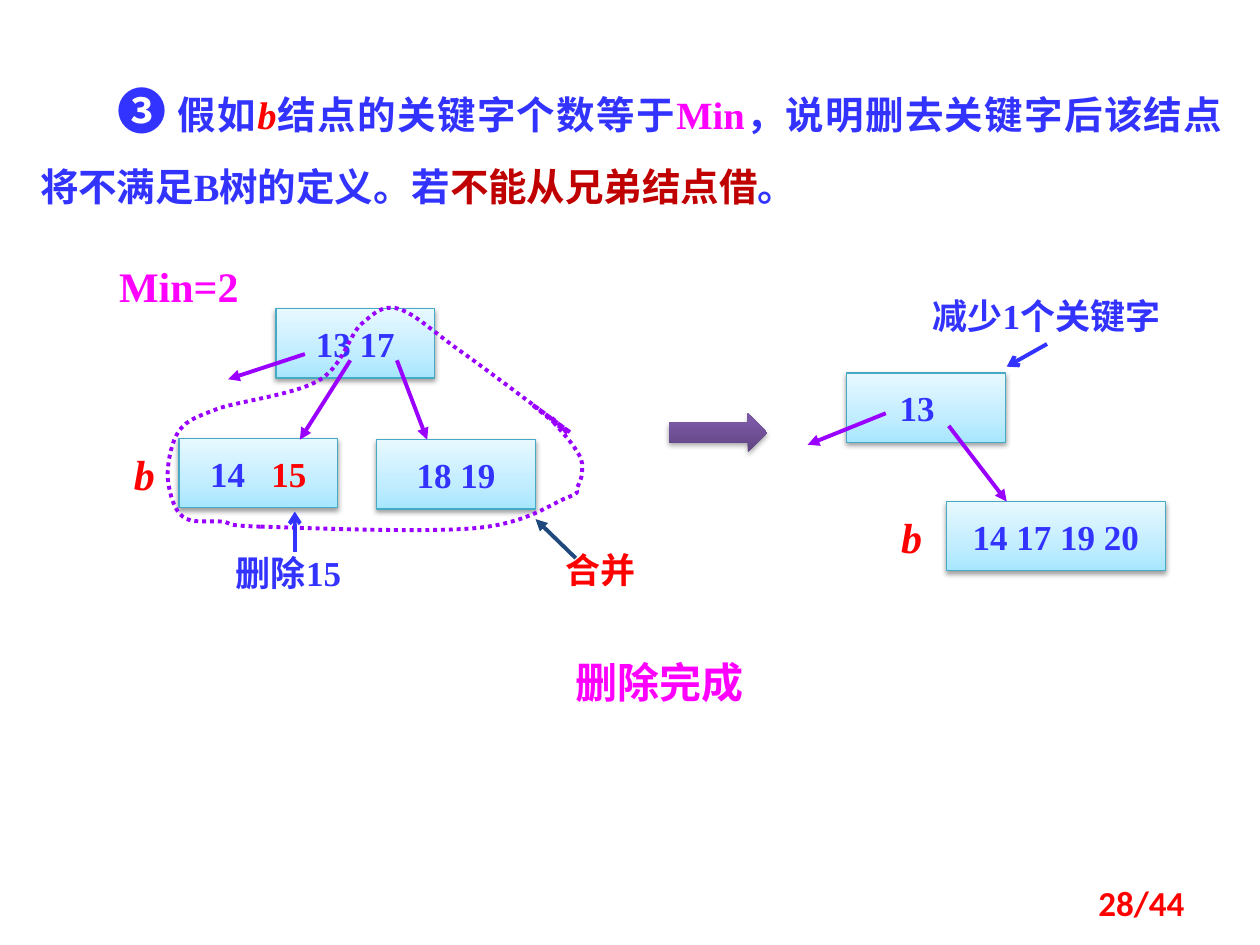
from copy import deepcopy

from lxml import etree
from pptx import Presentation
from pptx import util as u
from pptx.dml.color import RGBColor
from pptx.enum import dml, shapes, text
from pptx.oxml.ns import qn

BLUE = RGBColor(0x33, 0x33, 0xFF)
RED = RGBColor(0xFF, 0x00, 0x00)
DARK_RED = RGBColor(0xC0, 0x00, 0x00)
MAGENTA = RGBColor(0xFF, 0x00, 0xFF)
PURPLE = RGBColor(0x99, 0x00, 0xFF)
NAVY = RGBColor(0x1F, 0x49, 0x7D)
NODE_BORDER = RGBColor(0x46, 0xAA, 0xC5)
NODE_STOPS = [(0, RGBColor(0xA7, 0xE6, 0xFF)), (0.35, RGBColor(0xC1, 0xED, 0xFF)),
              (1, RGBColor(0xE7, 0xF8, 0xFF))]
ARROW_STOPS = [(0, RGBColor(0x5F, 0x44, 0x80)), (0.8, RGBColor(0x7B, 0x58, 0xA6)),
               (1, RGBColor(0x7C, 0x57, 0xA8))]

SERIF = "Times New Roman"
CJK = "Noto Sans CJK SC"
CENTER = text.PP_ALIGN.CENTER
NODE_WIDTH, NODE_HEIGHT = 1.26, 0.55

MERGE_START = (2.07, 4.18)
MERGE_CURVES = [
    (2.41, 4.19, 3.39, 4.23, 3.79, 4.19), (4.19, 4.15, 4.37, 4, 4.5, 3.95),
    (4.63, 3.9, 4.56, 3.9, 4.58, 3.87), (4.6, 3.83, 4.62, 3.79, 4.62, 3.74),
    (4.62, 3.7, 4.63, 3.67, 4.59, 3.6), (4.55, 3.54, 4.56, 3.54, 4.4, 3.36),
    (4.25, 3.18, 4.54, 3.47, 4.51, 3.44), (4.48, 3.42, 4.22, 3.21, 4.22, 3.21),
    (4.22, 3.2, 4.61, 3.5, 4.51, 3.42), (4.41, 3.35, 3.86, 2.93, 3.63, 2.77),
    (3.41, 2.61, 3.29, 2.49, 3.16, 2.45), (3.03, 2.42, 2.98, 2.48, 2.87, 2.57),
    (2.77, 2.66, 2.72, 2.91, 2.53, 3.02), (2.34, 3.13, 1.93, 3.18, 1.74, 3.24),
    (1.56, 3.31, 1.49, 3.33, 1.42, 3.42), (1.36, 3.51, 1.33, 3.67, 1.33, 3.78),
    (1.34, 3.9, 1.38, 4.05, 1.45, 4.1), (1.52, 4.16, 1.65, 4.13, 1.76, 4.14),
    (1.86, 4.15, 1.73, 4.17, 2.07, 4.18),
]


def add_run(paragraph, content, color=BLUE, size=20, font=SERIF, italic=False):
    run = paragraph.add_run()
    run.text = content
    run.font.name = font
    run.font.size = u.Pt(size)
    run.font.bold = True
    run.font.italic = italic
    run.font.color.rgb = color
    properties = run.font._element
    etree.SubElement(properties, qn("a:ea")).set("typeface", CJK)
    return run


def add_text(slide, left, top, width, height, align=CENTER, inset=True):
    box = slide.shapes.add_textbox(*map(u.Inches, (left, top, width, height)))
    frame = box.text_frame
    frame.word_wrap = True
    if not inset:
        frame.margin_left = frame.margin_right = 0
        frame.margin_top = frame.margin_bottom = 0
    paragraph = frame.paragraphs[0]
    paragraph.alignment = align
    return paragraph


def add_label(slide, content, left, top, width, height, **style):
    paragraph = add_text(slide, left, top, width, height, inset=False)
    add_run(paragraph, content, **style)


def set_gradient(shape, stops):
    shape.fill.gradient()
    shape.fill.gradient_angle = 90
    stop_list = next(shape._element.iter(qn("a:gsLst")))
    stop_list.append(deepcopy(stop_list[0]))
    for stop, (position, color) in zip(shape.fill.gradient_stops, stops):
        stop.position = position
        stop.color.rgb = color


def set_shadow(shape, distance, opacity):
    shape.shadow.inherit = False
    effects = shape._element.spPr.find(qn("a:effectLst"))
    shadow = etree.SubElement(effects, qn("a:outerShdw"), blurRad=str(u.Pt(3.1)),
                              dist=str(u.Pt(distance)), dir="5400000", rotWithShape="0")
    color = etree.SubElement(shadow, qn("a:srgbClr"), val="000000")
    etree.SubElement(color, qn("a:alpha"), val=str(opacity * 1000))


def add_node(slide, left, top, keys="", width=NODE_WIDTH):
    shape = slide.shapes.add_shape(
        shapes.MSO_SHAPE.RECTANGLE, *map(u.Inches, (left, top, width, NODE_HEIGHT)))
    set_gradient(shape, NODE_STOPS)
    shape.line.color.rgb = NODE_BORDER
    shape.line.width = u.Pt(0.75)
    set_shadow(shape, 1.6, 38)
    frame = shape.text_frame
    frame.vertical_anchor = text.MSO_ANCHOR.MIDDLE
    frame.paragraphs[0].alignment = CENTER
    if keys:
        add_run(frame.paragraphs[0], keys)
    return frame


def add_arrow(slide, start, end, color=PURPLE, head="triangle"):
    connector = slide.shapes.add_connector(
        shapes.MSO_CONNECTOR.STRAIGHT, *map(u.Inches, (*start, *end)))
    connector.line.color.rgb = color
    connector.line.width = u.Pt(2.25)
    etree.SubElement(connector.line._get_or_add_ln(), qn("a:tailEnd"), type=head)
    etree.SubElement(connector._element.spPr, qn("a:effectLst"))


def add_merge_outline(slide):
    builder = slide.shapes.build_freeform(*map(u.Inches, MERGE_START))
    builder.add_line_segments([tuple(map(u.Inches, curve[4:])) for curve in MERGE_CURVES])
    shape = builder.convert_to_shape()
    for segment, curve in zip(list(shape._element.iter(qn("a:lnTo"))), MERGE_CURVES):
        bezier = etree.Element(qn("a:cubicBezTo"))
        for x, y in zip(curve[::2], curve[1::2]):
            etree.SubElement(bezier, qn("a:pt"), x=str(u.Inches(x) - shape.left),
                             y=str(u.Inches(y) - shape.top))
        segment.getparent().replace(segment, bezier)
    shape.fill.background()
    shape.line.color.rgb = PURPLE
    shape.line.width = u.Pt(2.25)
    shape.line.dash_style = dml.MSO_LINE.ROUND_DOT
    shape.shadow.inherit = False


def add_statement(slide):
    paragraph = add_text(slide, 0.22, 0.36, 9.58, 1.36, text.PP_ALIGN.JUSTIFY)
    paragraph.line_spacing = 1.5
    paragraph._p.get_or_add_pPr().set("indent", str(u.Pt(44)))
    add_run(paragraph, "❸", size=28)
    for content, color in [(" 假如", BLUE), ("b", RED), ("结点的关键字个数等于", BLUE),
                           ("Min", MAGENTA),
                           ("，说明删去关键字后该结点将不满足B树的定义。若", BLUE),
                           ("不能从兄弟结点借", DARK_RED), ("。", BLUE)]:
        add_run(paragraph, content, color, 22, italic=content == "b")


def add_tree_before(slide):
    paragraph = add_node(slide, 1.42, 3.48).paragraphs[0]
    add_run(paragraph, "14")
    gap = add_run(paragraph, " ")
    gap.font._element.set("spc", "1000")
    add_run(paragraph, "15", RED)
    add_node(slide, 2.19, 2.45, "13 17")
    add_node(slide, 2.99, 3.49, "18 19")
    add_label(slide, "b", 0.79, 3.56, 0.71, 0.4, color=RED, size=24, italic=True)
    add_label(slide, "Min=2", 0.79, 2.07, 1.26, 0.4, color=MAGENTA, size=24)
    add_arrow(slide, (2.78, 2.86), (2.38, 3.49))
    add_arrow(slide, (3.15, 2.86), (3.39, 3.49))
    add_arrow(slide, (2.42, 2.81), (1.81, 3.01))
    add_merge_outline(slide)
    add_arrow(slide, (4.57, 4.43), (4.25, 4.12), NAVY)
    add_label(slide, "合并", 4.33, 4.35, 0.87, 0.33, color=RED, font=CJK)
    add_label(slide, "删除15", 1.62, 4.38, 1.34, 0.33)
    add_arrow(slide, (2.34, 4.38), (2.34, 4.06), BLUE, "arrow")


def add_tree_after(slide):
    add_label(slide, "b", 6.88, 4.06, 0.71, 0.4, color=RED, size=24, italic=True)
    add_node(slide, 6.72, 2.96, "13").margin_right = u.Inches(0.24)
    add_node(slide, 7.51, 3.98, "14 17 19 20", 1.74)
    add_arrow(slide, (7.53, 3.38), (7.99, 3.98))
    add_arrow(slide, (7.03, 3.28), (6.41, 3.53))
    add_run(add_text(slide, 7.21, 2.29, 2.19, 0.44), "减少1个关键字")
    add_arrow(slide, (8.31, 2.73), (7.99, 2.91), BLUE, "arrow")


def add_step_arrow(slide):
    shape = slide.shapes.add_shape(
        shapes.MSO_SHAPE.RIGHT_ARROW, *map(u.Inches, (5.31, 3.28, 0.78, 0.31)))
    set_gradient(shape, ARROW_STOPS)
    shape.line.fill.background()
    set_shadow(shape, 1.8, 35)


def main():
    presentation = Presentation()
    presentation.slide_width = u.Inches(10)
    presentation.slide_height = u.Inches(7.5)
    slide = presentation.slides.add_slide(presentation.slide_layouts[6])
    add_tree_before(slide)
    add_statement(slide)
    add_tree_after(slide)
    add_step_arrow(slide)
    add_run(add_text(slide, 4.14, 5.16, 2.19, 0.5), "删除完成", MAGENTA, 24, CJK)
    page_number = add_text(slide, 7.17, 6.95, 2.33, 0.4, text.PP_ALIGN.RIGHT)
    add_run(page_number, "28/44", RED, font="Calibri")
    presentation.save("out.pptx")


if __name__ == "__main__":
    main()
